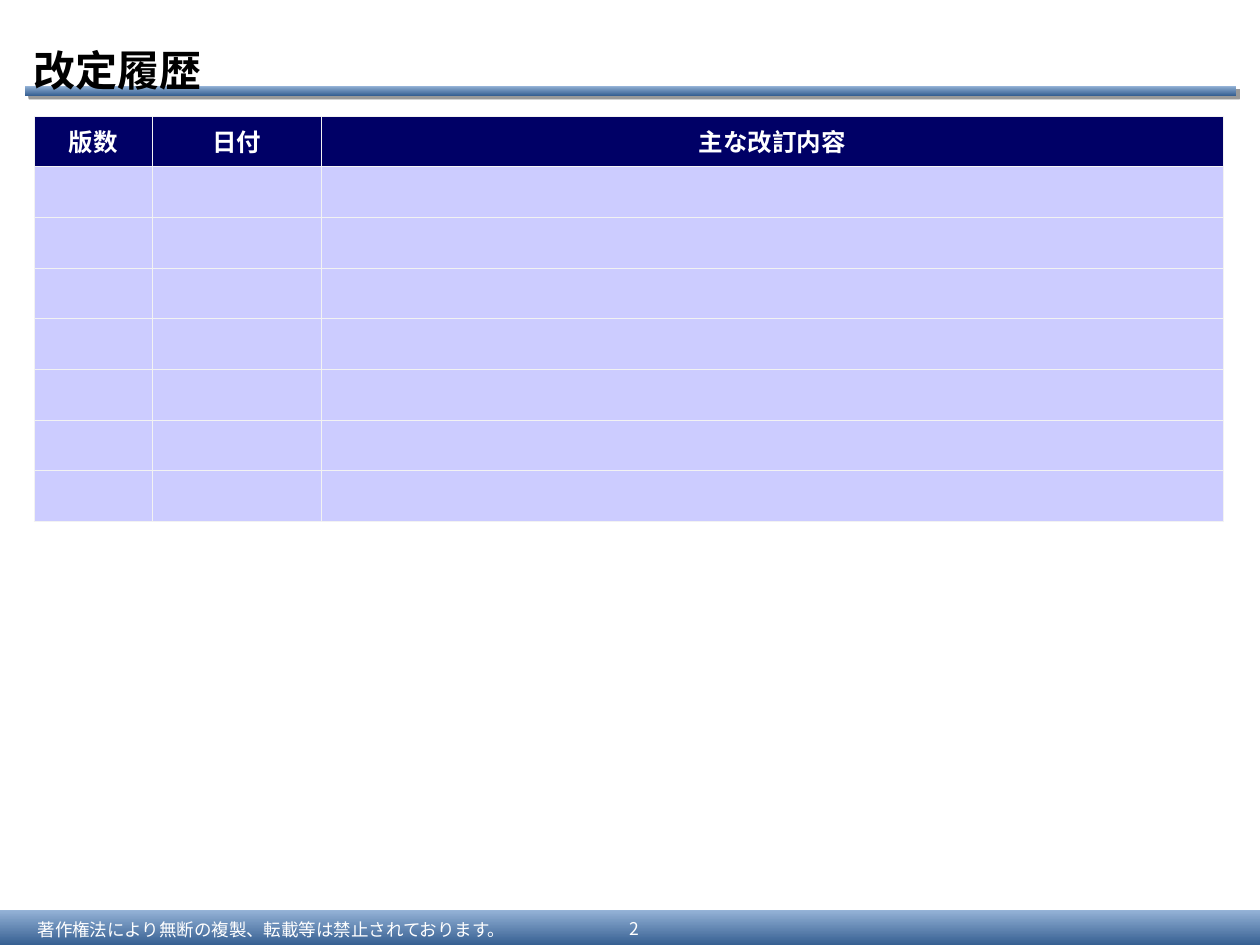
"""Build the revision history slide with its title, table and footer."""
from dataclasses import dataclass

from lxml import etree
from pptx import Presentation
from pptx.dml.color import RGBColor
from pptx.enum.shapes import MSO_SHAPE
from pptx.enum.text import MSO_ANCHOR, PP_ALIGN
from pptx.oxml.ns import qn
from pptx.util import Inches, Pt

RECTANGLE = MSO_SHAPE.RECTANGLE
MIDDLE = MSO_ANCHOR.MIDDLE
LEFT, CENTER = PP_ALIGN.LEFT, PP_ALIGN.CENTER

FONT = "Noto Sans CJK JP"
COLUMNS, ROWS = 100, 75
CELL = Inches(0.1)
COLORS = {
    "black": "000000",
    "white": "FFFFFF",
    "bar_dark": "376092",
    "bar_light": "95B3D7",
    "header": "000066",
    "body": "CCCCFF",
    "border": "F2F2F2",
}
FORMATS = {
    "title": {"size": Pt(24), "bold": True, "name": FONT},
    "header": {"size": Pt(14), "bold": True, "name": FONT},
    "footer": {"size": Pt(10), "bold": False, "name": FONT},
}
BOX_INSETS = {
    "margin_left": Inches(0.1),
    "margin_right": Inches(0.1),
    "margin_top": Inches(0.04),
    "margin_bottom": Inches(0.04),
}
BORDER_SIDES = ("a:lnL", "a:lnR", "a:lnT", "a:lnB")
BORDER_WIDTH = Pt(0.45)


@dataclass(frozen=True)
class Area:
    """A rectangle in grid columns and rows."""
    column: float
    row: float
    width: float
    height: float

    def lengths(self) -> list[int]:
        """Return left, top, width and height as slide lengths."""
        return [grid(n) for n in (self.column, self.row, self.width, self.height)]


@dataclass(frozen=True)
class Bar:
    """A gradient strip across the page."""
    area: Area
    shadow: bool


@dataclass(frozen=True)
class Label:
    """A line of text in its own box."""
    text: str
    area: Area
    style: str
    color: str
    align: PP_ALIGN


@dataclass(frozen=True)
class Heading:
    """A table column with its heading and width in grid columns."""
    text: str
    width: float


BARS = [
    Bar(Area(0, 72.2, COLUMNS, 2.8), False),
    Bar(Area(2, 6.8, 96.1, 0.8), True),
]
LABELS = [
    Label("著作権法により無断の複製、転載等は禁止されております。",
          Area(2, 72.5, 42.5, 2.5), "footer", "white", LEFT),
    Label("2", Area(47.6, 72.3, 5.5, 2.8), "footer", "white", CENTER),
    Label("改定履歴", Area(1.7, 2.8, 98, 5.4), "title", "black", LEFT),
]
HEADINGS = [Heading("版数", 9.4), Heading("日付", 13.4), Heading("主な改訂内容", 71.6)]
TABLE_AREA = Area(2.7, 9.2, sum(h.width for h in HEADINGS), 32.2)
TABLE_ROWS = 8


def grid(count: float) -> int:
    """Turn a number of grid cells into a slide length."""
    return round(count * CELL)


def rgb(name: str) -> RGBColor:
    """Look up a named colour."""
    return RGBColor.from_string(COLORS[name])


def add_color(parent, name: str):
    """Append a colour element to an XML parent and return it."""
    return etree.SubElement(parent, qn("a:srgbClr"), val=COLORS[name])


def write(paragraph, text: str, style: str, color: str, align: PP_ALIGN) -> None:
    """Put one formatted span in a paragraph."""
    paragraph.alignment = align
    span = paragraph.add_run()
    span.text = text
    for key, value in FORMATS[style].items():
        setattr(span.font, key, value)
    span.font.color.rgb = rgb(color)
    etree.SubElement(span.font._element, qn("a:ea"), typeface=FONT)


def draw_bar(page, bar: Bar) -> None:
    """Draw a gradient strip, with a hard drop shadow if asked."""
    strip = page.shapes.add_shape(RECTANGLE, *bar.area.lengths())
    strip.shadow.inherit = False
    strip.line.fill.background()
    strip.fill.gradient()
    strip.fill.gradient_angle = 90
    for stop, color in zip(strip.fill.gradient_stops, ("bar_dark", "bar_light")):
        stop.color.rgb = rgb(color)
    if bar.shadow:
        effects = strip._element.spPr.find(qn("a:effectLst"))
        shadow = etree.SubElement(effects, qn("a:outerShdw"), blurRad="0",
                                  dist=str(Pt(3)), dir="2700000", algn="tl",
                                  rotWithShape="0")
        etree.SubElement(add_color(shadow, "black"), qn("a:alpha"), val="40000")


def draw_label(page, label: Label) -> None:
    """Draw a text box with one line."""
    frame = page.shapes.add_textbox(*label.area.lengths()).text_frame
    frame.word_wrap = True
    frame.vertical_anchor = MIDDLE
    for key, value in BOX_INSETS.items():
        setattr(frame, key, value)
    write(frame.paragraphs[0], label.text, label.style, label.color, label.align)


def style_cell(cell, color: str) -> None:
    """Give a table cell its borders, fill and anchor."""
    for key in ("margin_top", "margin_bottom"):
        setattr(cell, key, 0)
    cell.vertical_anchor = MIDDLE
    properties = cell._tc.get_or_add_tcPr()
    for side in BORDER_SIDES:
        line = etree.SubElement(properties, qn(side), w=str(BORDER_WIDTH))
        add_color(etree.SubElement(line, qn("a:solidFill")), "border")
    cell.fill.solid()
    cell.fill.fore_color.rgb = rgb(color)


def draw_table(page) -> None:
    """Draw the revision table with its headings and blank rows."""
    table = page.shapes.add_table(TABLE_ROWS, len(HEADINGS),
                                  *TABLE_AREA.lengths()).table
    for row in table.rows:
        row.height = grid(TABLE_AREA.height / TABLE_ROWS)
    for column, heading in zip(table.columns, HEADINGS):
        column.width = grid(heading.width)
    for cell in table.iter_cells():
        style_cell(cell, "body")
    for cell, heading in zip(table.rows[0].cells, HEADINGS):
        cell.fill.fore_color.rgb = rgb("header")
        write(cell.text_frame.paragraphs[0], heading.text, "header", "white", CENTER)


def main() -> None:
    """Build and save the deck."""
    deck = Presentation()
    deck.slide_width, deck.slide_height = grid(COLUMNS), grid(ROWS)
    page = deck.slides.add_slide(deck.slide_layouts[6])
    for bar in BARS:
        draw_bar(page, bar)
    for label in LABELS:
        draw_label(page, label)
    draw_table(page)
    deck.save("out.pptx")


if __name__ == "__main__":
    main()
